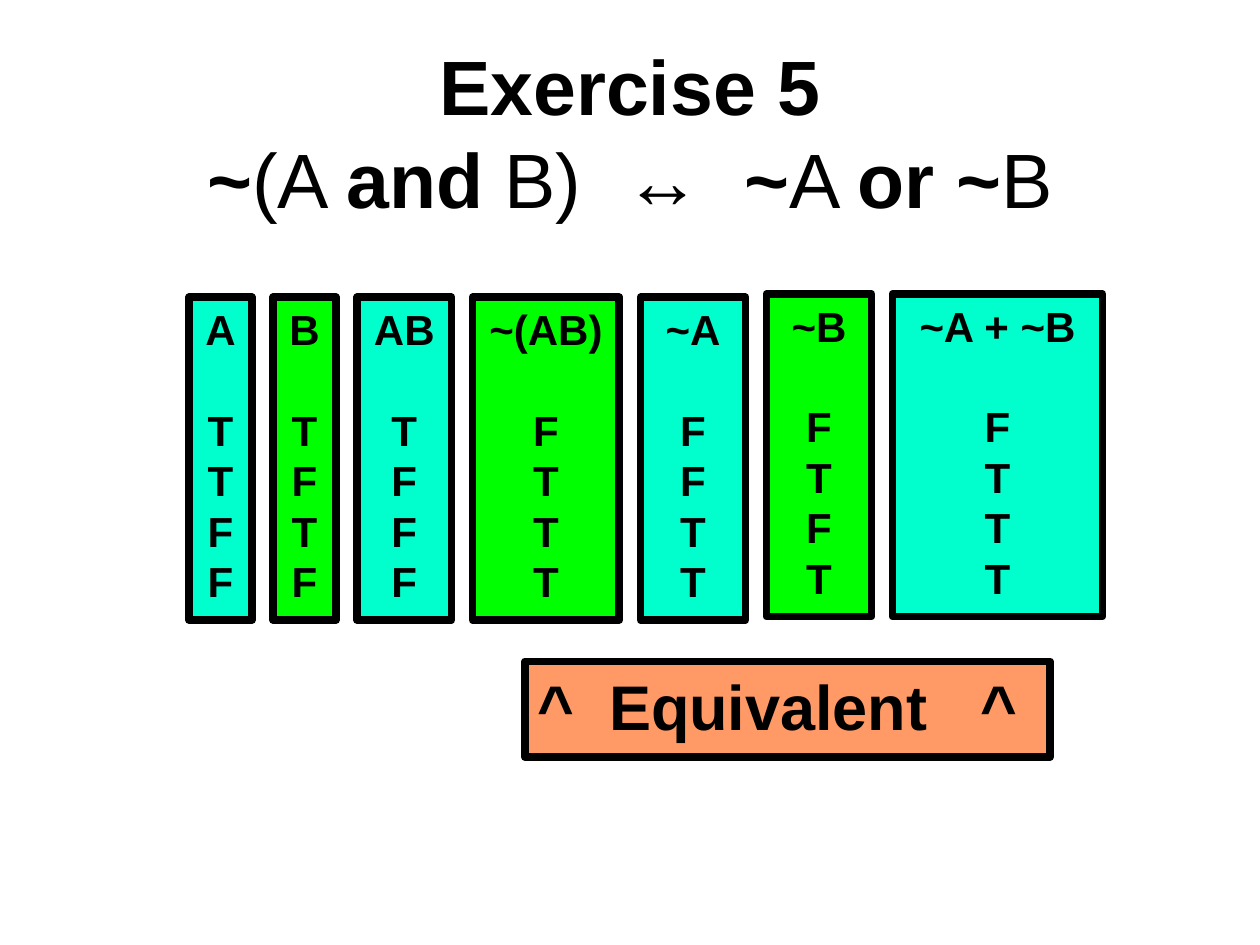
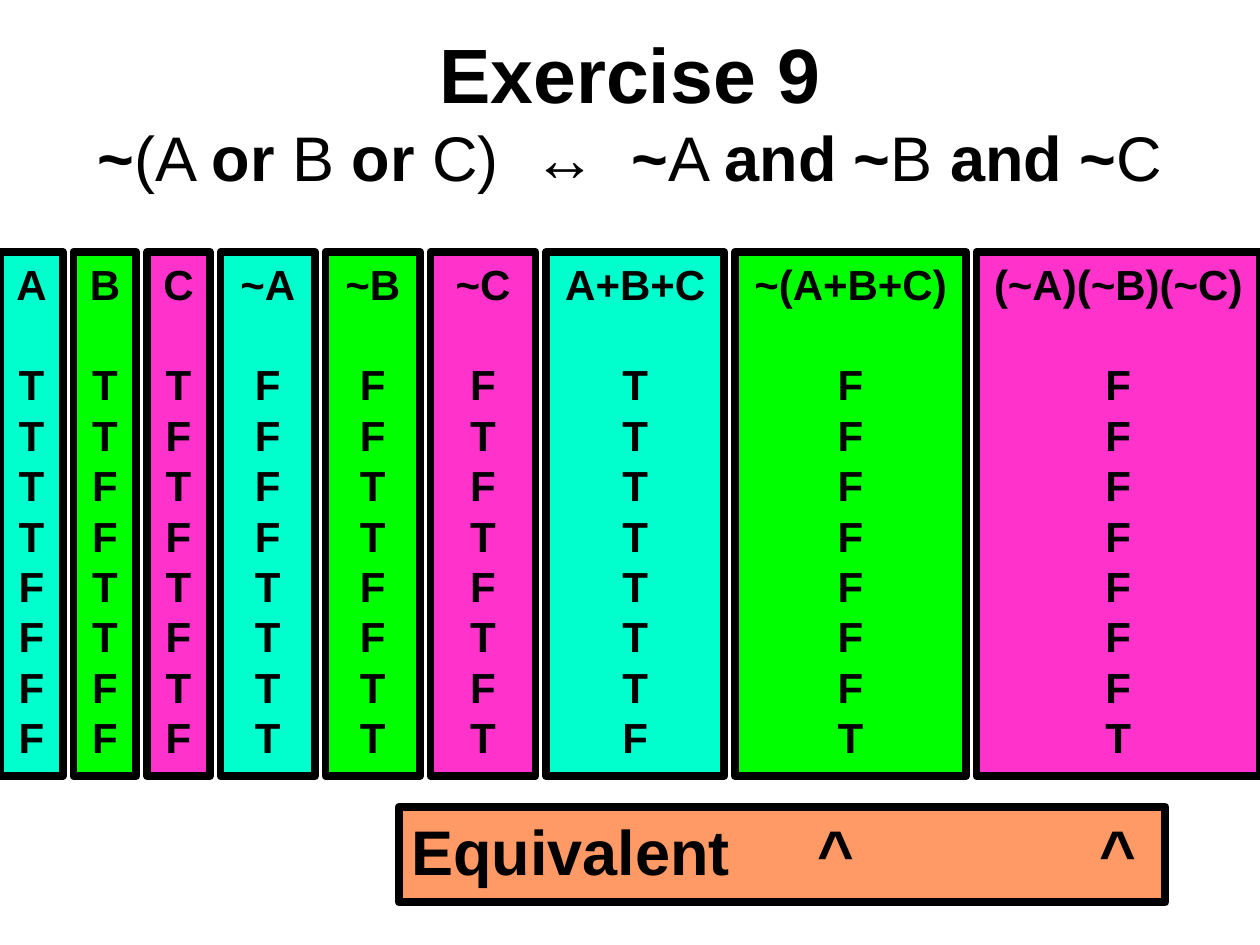
from dataclasses import dataclass

from pptx import Presentation
from pptx.dml.color import RGBColor as Rgb
from pptx.enum.shapes import MSO_SHAPE as Form
from pptx.enum.text import MSO_ANCHOR as Anchor, PP_ALIGN as Align
from pptx.oxml.ns import qn
from pptx.util import Pt
from lxml.etree import SubElement


@dataclass(frozen=True)
class Theme:
    font: str = "Arial"
    ink: Rgb = Rgb(0, 0, 0)
    aqua: Rgb = Rgb(0x00, 0xFF, 0xCC)
    green: Rgb = Rgb(0x00, 0xFF, 0x00)
    pink: Rgb = Rgb(0xFF, 0x33, 0xCC)
    peach: Rgb = Rgb(0xFF, 0x99, 0x66)
    head: float = 44
    cell: float = 24
    note: float = 36
    edge: float = 4.5
    lead: float = 1.2


THEME = Theme()


def style(font, size, bold=True):
    font.name = THEME.font
    font.size = Pt(size)
    font.bold = bold
    font.color.rgb = THEME.ink


def add_title(slide, top, name, law, size):
    """Title over a law whose parts, split by |, are bold and plain in turn."""
    box = slide.shapes.add_textbox(Pt(0), Pt(top), Pt(720), Pt(90))
    frame = box.text_frame
    frame.word_wrap = True
    frame.vertical_anchor = Anchor.MIDDLE
    para = frame.paragraphs[0]
    para.alignment = Align.CENTER
    para.text = name
    style(para.runs[0].font, THEME.head)
    para.add_line_break()
    for i, part in enumerate(law.split("|")):
        left, arrow, right = part.partition(" ↔")
        for text in filter(None, (left, arrow, right)):
            run = para.add_run()
            run.text = text
            style(run.font, size, bold=i % 2 == 0)
            if text == arrow:
                # widen the gaps beside the arrow by one space width
                run._r.get_or_add_rPr().set("spc", str(round(size * 27.8)))


def add_box(slide, left, top, width, height, fill):
    box = slide.shapes.add_shape(
        Form.RECTANGLE, Pt(left), Pt(top), Pt(width), Pt(height))
    box.shadow.inherit = False
    box.fill.solid()
    box.fill.fore_color.rgb = fill
    box.line.color.rgb = THEME.ink
    box.line.width = Pt(THEME.edge)
    box.text_frame.word_wrap = True
    box.text_frame.vertical_anchor = Anchor.TOP
    return box.text_frame


def set_para(para, size, align):
    para.alignment = align
    para.line_spacing = Pt(size * THEME.lead)
    for run in para.runs:
        style(run.font, size)


def add_truth(slide, left, gap, height, fills, cols):
    """Row of columns, each given as top, width, heading and truth values."""
    for i, (top, width, head, marks) in enumerate(cols):
        frame = add_box(slide, left, top, width, height, fills[i % len(fills)])
        frame.text = "\n".join([head, *marks])
        for para in frame.paragraphs:
            set_para(para, THEME.cell, Align.CENTER)
        frame.paragraphs[1].space_before = Pt(THEME.cell * THEME.lead)
        left += width + gap


def add_note(slide, left, top, width, text, stops):
    frame = add_box(slide, left, top, width, 54.7, THEME.peach)
    frame.text = text
    para = frame.paragraphs[0]
    set_para(para, THEME.note, Align.LEFT)
    tabs = SubElement(para._p.get_or_add_pPr(), qn("a:tabLst"))
    for stop in stops:
        SubElement(tabs, qn("a:tab"), pos=str(Pt(stop)), algn="l")


def main():
    deck = Presentation()
    deck.slide_width, deck.slide_height = Pt(720), Pt(540)
    blank = deck.slide_layouts[6]

    slide = deck.slides.add_slide(blank)
    add_title(slide, 30, "Exercise 5",
              "~|(A |and |B) ↔ |~|A |or ~|B", THEME.head)
    add_truth(slide, 108, 12, 184.3, (THEME.aqua, THEME.green), (
        (170, 36, "A", "TTFF"),
        (170, 36, "B", "TFTF"),
        (170, 54, "AB", "TFFF"),
        (170, 84, "~(AB)", "FTTT"),
        (170, 60, "~A", "FFTT"),
        (168, 60, "~B", "FTFT"),
        (168, 120, "~A + ~B", "FTTT"),
    ))
    add_note(slide, 300, 378, 300, "^\tEquivalent\t^", (41, 253))

    slide = deck.slides.add_slide(blank)
    add_title(slide, 18, "Exercise 9",
              "~|(A |or |B |or |C) ↔ |~|A |and ~|B |and ~|C", THEME.note)
    fills = THEME.aqua, THEME.green, THEME.pink
    add_truth(slide, 0, 6, 299.5, fills, [(144, *col) for col in (
        (36, "A", "TTTTFFFF"),
        (36, "B", "TTFFTTFF"),
        (36, "C", "TFTFTFTF"),
        (54, "~A", "FFFFTTTT"),
        (54, "~B", "FFTTFFTT"),
        (60, "~C", "FTFTFTFT"),
        (102, "A+B+C", "TTTTTTTF"),
        (132, "~(A+B+C)", "FFFFFFFT"),
        (162, "(~A)(~B)(~C)", "FFFFFFFT"),
    )])
    add_note(slide, 228, 461, 438, "Equivalent\t^\t^", (232, 393))

    deck.save("out.pptx")


if __name__ == "__main__":
    main()
